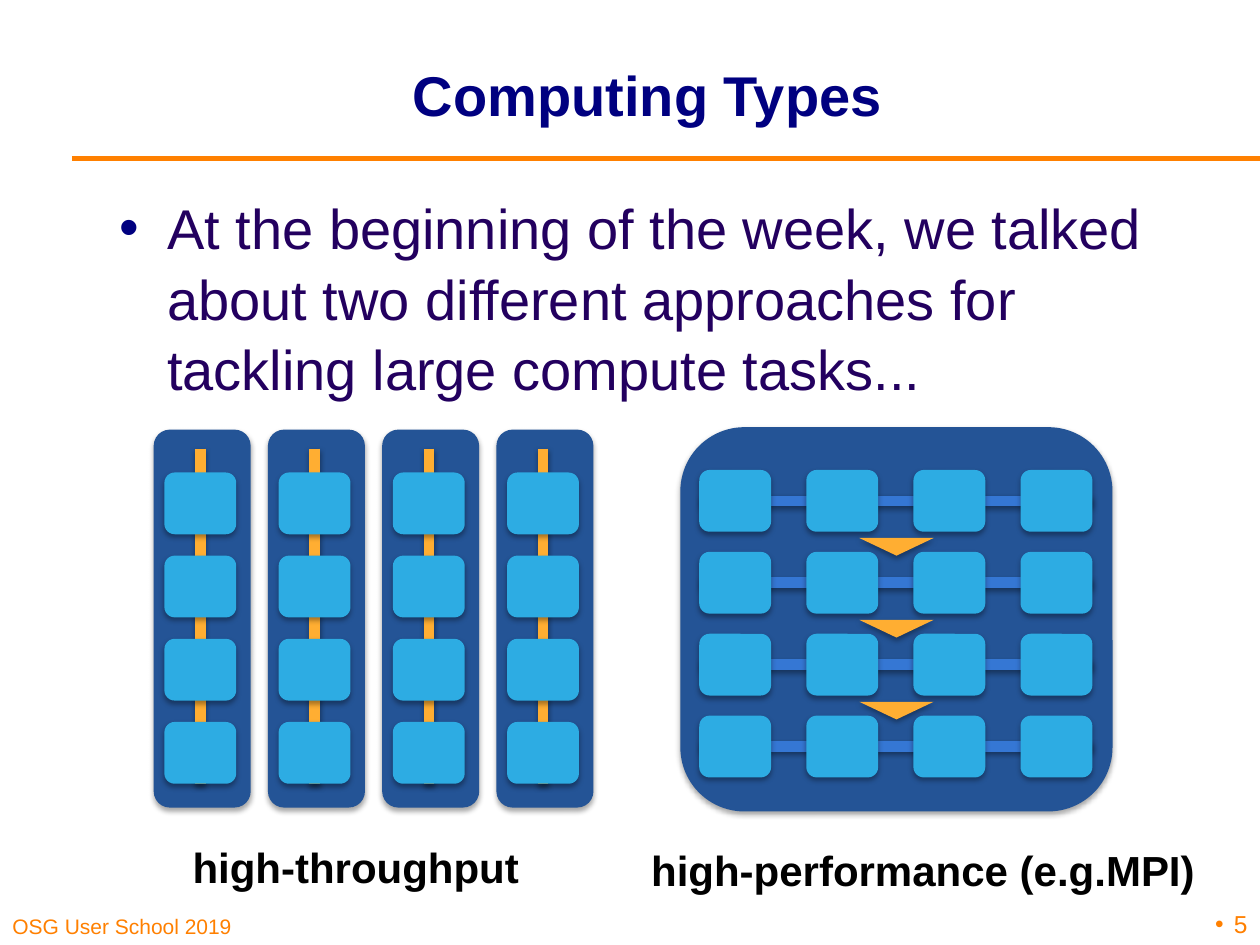
import lxml.etree
import pptx
import pptx.dml.color
import pptx.enum.shapes
import pptx.enum.text
import pptx.oxml.ns
import pptx.util
from pptx.util import Inches

COLORS = {
    "orange": "FF8000", "navy": "000080", "purple": "23005F", "panel": "245496",
    "node": "2DACE3", "link": "3577D4", "amber": "FFAE32", "black": "000000",
}
SHAPES = pptx.enum.shapes.MSO_SHAPE
ALIGN = pptx.enum.text.PP_ALIGN
ANCHOR = pptx.enum.text.MSO_ANCHOR
NODE_WIDTH, NODE_HEIGHT = 0.57, 0.49
COUNT = 4


def color(name):
    return pptx.dml.color.RGBColor.from_string(COLORS[name])


def add_element(parent, tag, **attributes):
    element = lxml.etree.SubElement(parent, pptx.oxml.ns.qn(tag))
    for key, value in attributes.items():
        element.set(key, str(value))
    return element


def add_shadow(effects, distance, opacity):
    shadow = add_element(
        effects, "a:outerShdw", blurRad=pptx.util.Pt(3.1), dist=pptx.util.Pt(distance),
        dir=5400000, rotWithShape=0)
    tint = add_element(shadow, "a:srgbClr", val=COLORS["black"])
    add_element(tint, "a:alpha", val=opacity * 1000)


def add_block(page, kind, left, top, width, height, fill):
    block = page.shapes.add_shape(
        kind, Inches(left), Inches(top), Inches(width), Inches(height))
    block.fill.solid()
    block.fill.fore_color.rgb = color(fill)
    block.line.fill.background()
    block.shadow.inherit = False
    effects = block.element.spPr.find(pptx.oxml.ns.qn("a:effectLst"))
    add_shadow(effects, 1.8, 35)
    return block


def add_line(page, start, end, stroke, weight, shaded=True):
    line = page.shapes.add_connector(
        pptx.enum.shapes.MSO_CONNECTOR.STRAIGHT,
        Inches(start[0]), Inches(start[1]), Inches(end[0]), Inches(end[1]))
    line.line.color.rgb = color(stroke)
    line.line.width = pptx.util.Pt(weight)
    effects = add_element(line.element.spPr, "a:effectLst")
    if shaded:
        add_shadow(effects, 1.6, 38)


def add_text(page, left, top, width, height, text, size, ink, bold=False,
             align=ALIGN.LEFT, anchor=ANCHOR.TOP, bullet=None, hang=0):
    box = page.shapes.add_textbox(
        Inches(left), Inches(top), Inches(width), Inches(height))
    frame = box.text_frame
    frame.word_wrap = True
    frame.vertical_anchor = anchor
    para = frame.paragraphs[0]
    para.text = text
    para.alignment = align
    if bullet:
        properties = para._p.get_or_add_pPr()
        properties.set("marL", str(Inches(hang)))
        properties.set("indent", str(-Inches(hang)))
        tint = add_element(properties, "a:buClr")
        add_element(tint, "a:srgbClr", val=COLORS[bullet])
        add_element(properties, "a:buFont", typeface="Arial")
        add_element(properties, "a:buChar", char="•")
    para.font.name = "Arial"
    para.font.size = pptx.util.Pt(size)
    para.font.bold = bold
    para.font.color.rgb = color(ink)
    return para


def add_node(page, left, top):
    add_block(page, SHAPES.ROUNDED_RECTANGLE, left, top, NODE_WIDTH, NODE_HEIGHT, "node")


def add_header(page, left, top, width, height):
    add_text(page, left, top, width, height, "Computing Types", 32, "navy",
             bold=True, align=ALIGN.CENTER, anchor=ANCHOR.MIDDLE)
    add_line(page, (0.57, 1.26), (10, 1.26), "orange", 3, shaded=False)


def add_body(page, left, top, width, height):
    para = add_text(
        page, left, top, width, height,
        "At the beginning of the week, we talked about two different approaches for "
        "tackling large compute tasks...", 32, "purple", bullet="navy", hang=0.38)
    para.line_spacing = 1.05


def add_throughput(page, left, top, width, height):
    column_width = 0.77
    column_step = (width - column_width) / (COUNT - 1)
    row_step = 0.66
    for column in range(COUNT):
        column_left = left + column * column_step
        center = column_left + 0.37
        add_block(page, SHAPES.ROUNDED_RECTANGLE, column_left, top,
                  column_width, height, "panel")
        add_line(page, (center, top + 0.15), (center, top + 2.81), "amber", 6)
        for row in range(COUNT):
            add_node(page, center - NODE_WIDTH / 2, top + 0.34 + row * row_step)
    add_text(page, left + 0.21, top + 3.22, 4.87, 0.51, "high-throughput",
             24, "black", bold=True)


def add_performance(page, left, top, width, height):
    column_step, row_step = 0.85, 0.65
    arrow_width, arrow_height = 0.59, 0.14
    add_block(page, SHAPES.ROUNDED_RECTANGLE, left, top, width, height, "panel")
    for row in range(COUNT):
        row_top = top + 0.34 + row * row_step
        middle = row_top + NODE_HEIGHT / 2
        add_line(page, (left + 3.27, middle), (left + 0.16, middle), "link", 6)
        for column in range(COUNT):
            add_node(page, left + 0.15 + column * column_step, row_top)
        if row < COUNT - 1:
            arrow = add_block(
                page, SHAPES.ISOSCELES_TRIANGLE, left + (width - arrow_width) / 2,
                row_top + 0.54, arrow_width, arrow_height, "amber")
            arrow.rotation = 180
    add_text(page, left - 0.33, top + 3.26, 4.87, 0.51, "high-performance (e.g.MPI)",
             24, "black", bold=True)


def add_footer(page, left, top, width, height):
    add_text(page, left, top + 0.08, 2.48, height - 0.08, "OSG User School 2019",
             12, "orange", anchor=ANCHOR.BOTTOM)
    add_text(page, left + width - 0.46, top, 0.46, height, "5", 14, "orange",
             align=ALIGN.RIGHT, anchor=ANCHOR.BOTTOM, bullet="orange", hang=0.15)


def main():
    deck = pptx.Presentation()
    deck.slide_width, deck.slide_height = Inches(10), Inches(7.5)
    page = deck.slides.add_slide(deck.slide_layouts[6])
    add_header(page, 1.34, 0.12, 7.6, 1.25)
    add_body(page, 0.85, 1.46, 8.5, 5.12)
    add_throughput(page, 1.22, 3.41, 3.49, 3)
    add_performance(page, 5.4, 3.39, 3.43, 3.05)
    add_footer(page, 0, 7, 10, 0.5)
    deck.save("out.pptx")


if __name__ == "__main__":
    main()
